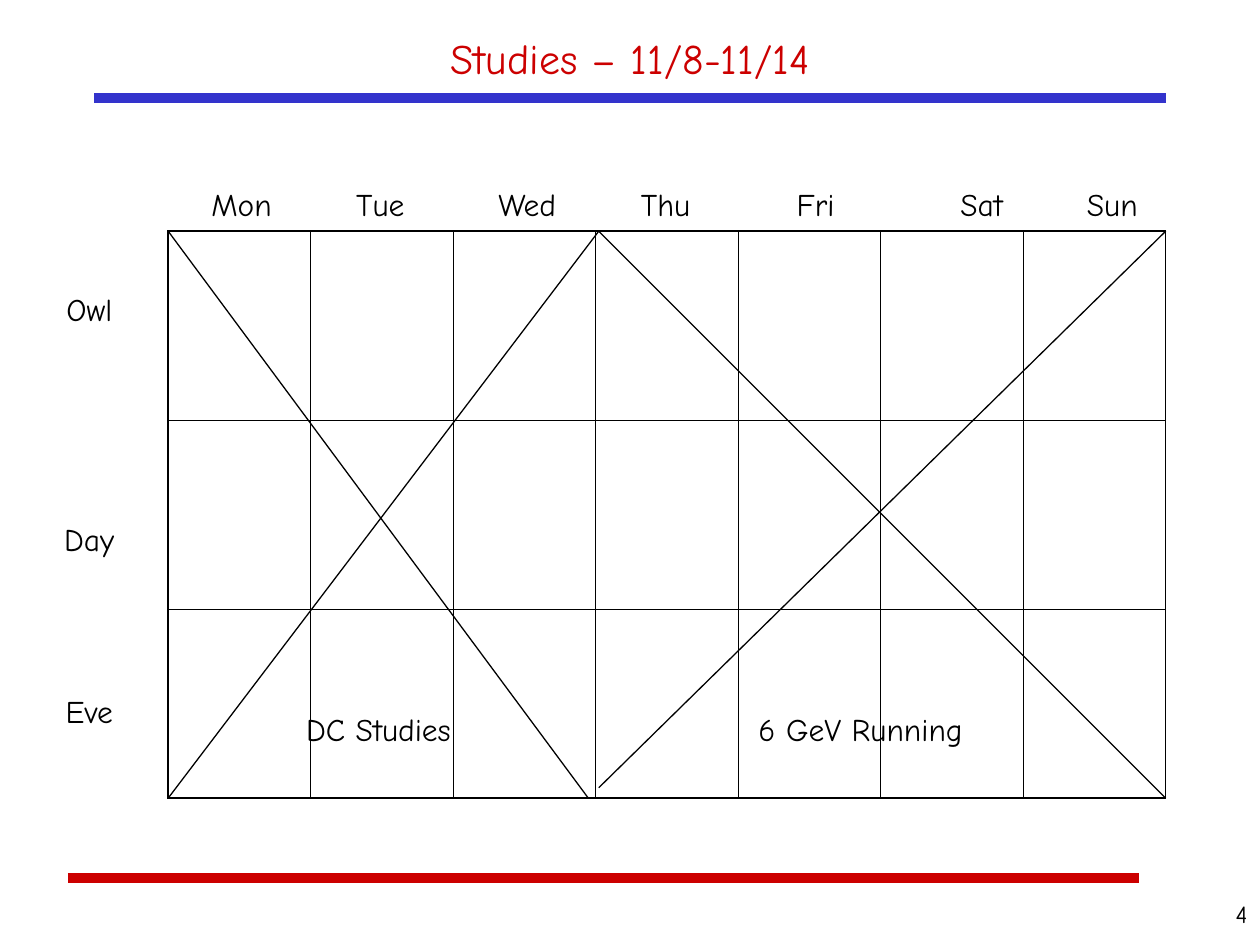
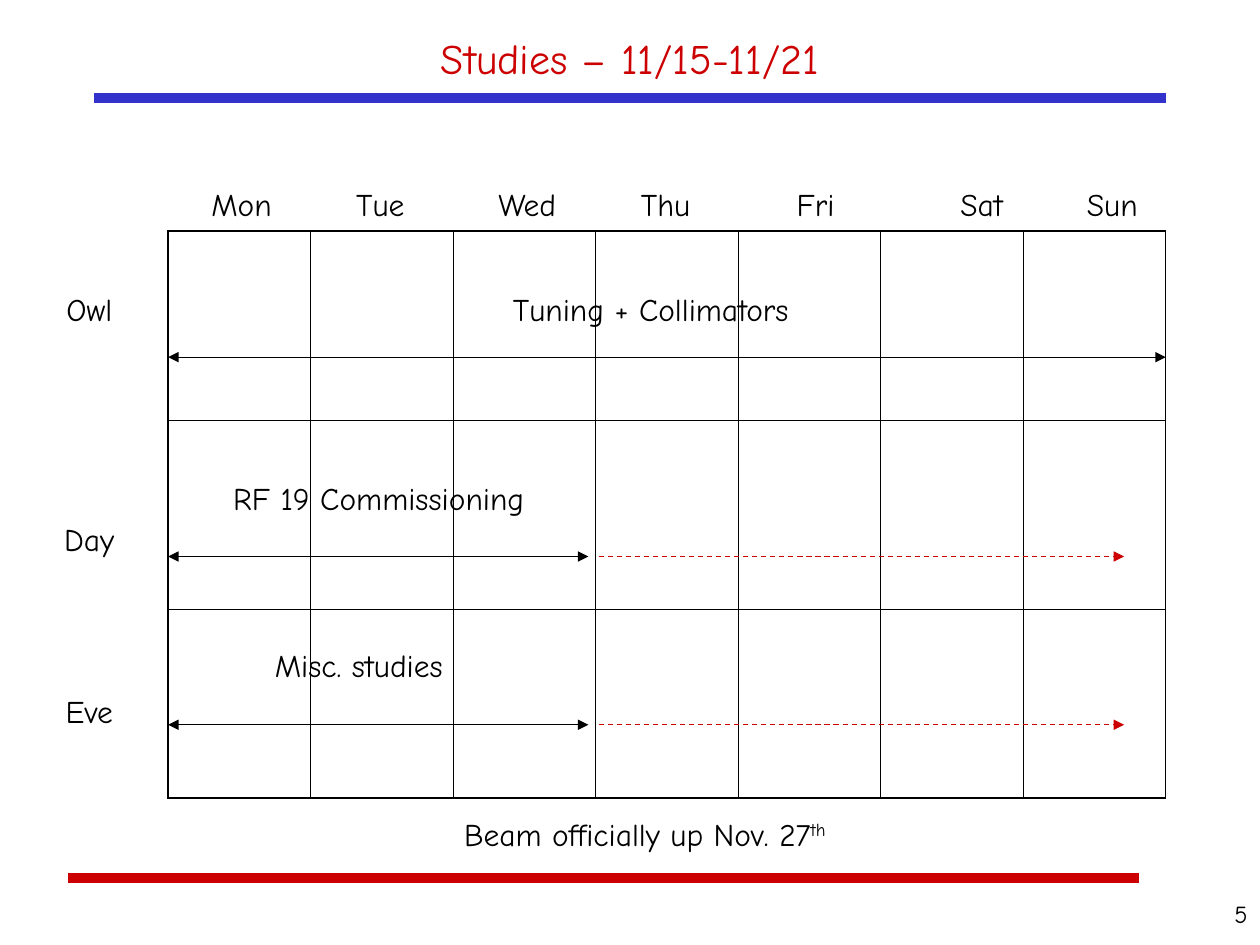
from collections import namedtuple

from lxml.etree import SubElement
from pptx import Presentation
from pptx.dml.color import RGBColor
from pptx.enum.dml import MSO_LINE_DASH_STYLE as Dash
from pptx.enum.shapes import MSO_CONNECTOR as Connector
from pptx.enum.text import MSO_ANCHOR as Anchor, PP_ALIGN as Align
from pptx.oxml.ns import qn
from pptx.util import Cm, Pt

Box = namedtuple("Box", "left top width height")

FONT = "Comic Neue"
BLACK, RED, BLUE = "000000", "CC0000", "3333CC"

TITLE = Box(1.9, 0.43, 21.6, 1.47)
GRID = Box(3.39, 4.66, 20.11, 11.43)
PAGE_NUMBER = Box(23.07, 17.99, 2.33, 1.06)
LINE_HEIGHT = 1.02

DAYS = ["Mon", "Tue", "Wed", "Thu", "Fri", "Sat", "Sun"]
DAY_TABS = [2.92, 5.79, 8.66, 11.8, 15.1, 17.65]
SHIFT_GAPS = {"Owl": 0, "Day": 109.8, "Eve": 76.7}

# Edges within the week grid
WED_END, THU_START, SUN_MIDDLE = 8.47, 8.68, 19.27


def color(hex_string):
    return RGBColor.from_string(hex_string)


def format_runs(paragraph, size=18, ink=BLACK):
    for run in paragraph.runs:
        run.font.name = FONT
        run.font.size = Pt(size)
        run.font.color.rgb = color(ink)


def add_text(slide, box, text, align=Align.LEFT, size=18):
    frame = slide.shapes.add_textbox(*map(Cm, box)).text_frame
    frame.word_wrap = True
    frame.text = text
    for paragraph in frame.paragraphs:
        paragraph.alignment = align
        format_runs(paragraph, size)
    return frame


def add_line(slide, start, end, ink=BLACK, width=0.75, dash=None, heads=()):
    """Draw a line; heads names the ends that carry arrowheads."""
    connector = slide.shapes.add_connector(
        Connector.STRAIGHT, *map(Cm, (*start, *end)))
    connector.line.color.rgb = color(ink)
    connector.line.width = Pt(width)
    if dash:
        connector.line.dash_style = dash
    properties = connector._element.spPr
    for head in heads:
        SubElement(properties.find(qn("a:ln")), qn(f"a:{head}"), type="triangle")
    SubElement(properties, qn("a:effectLst"))


def in_grid(grid, x, y):
    return grid.left + x, grid.top + y


def add_frame(slide, title, number):
    """Place the title, the two bars and the page number."""
    heading = slide.shapes.title
    heading.left, heading.top, heading.width, heading.height = map(Cm, TITLE)
    frame = heading.text_frame
    frame.text = title
    frame.vertical_anchor = Anchor.MIDDLE
    frame.paragraphs[0].alignment = Align.CENTER
    format_runs(frame.paragraphs[0], 24, RED)
    add_line(slide, (1.37, 17.7), (22.96, 17.7), RED, 6)
    add_line(slide, (1.9, 1.98), (23.5, 1.98), BLUE, 6)
    add_text(slide, PAGE_NUMBER, str(number), Align.RIGHT, 14)


def set_borders(cell, outer_sides):
    properties = cell._tc.get_or_add_tcPr()
    for side in "LRTB":
        width = Pt(1.08 if side in outer_sides else 0.45)
        border = SubElement(properties, qn(f"a:ln{side}"), w=str(int(width)))
        fill = SubElement(border, qn("a:solidFill"))
        SubElement(fill, qn("a:srgbClr"), val=BLACK)


def add_grid(slide, grid):
    rows, columns = len(SHIFT_GAPS), len(DAYS)
    table = slide.shapes.add_table(rows, columns, *map(Cm, grid)).table
    table.first_row = table.horz_banding = False
    for r in range(rows):
        for c in range(columns):
            edges = {"L": c == 0, "R": c == columns - 1,
                     "T": r == 0, "B": r == rows - 1}
            cell = table.cell(r, c)
            set_borders(cell, [side for side, outer in edges.items() if outer])
            cell.fill.background()


def add_day_names(slide, grid):
    box = Box(*in_grid(grid, 0.21, -1.05), 20.52, LINE_HEIGHT)
    frame = add_text(slide, box, "\t".join(DAYS))
    frame.margin_left = Cm(0.66)
    tabs = SubElement(frame.paragraphs[0]._p.get_or_add_pPr(), qn("a:tabLst"))
    for position in DAY_TABS:
        SubElement(tabs, qn("a:tab"), pos=str(int(Cm(position))), algn="l")


def add_shift_names(slide, grid):
    box = Box(*in_grid(grid, -2.54, 1.06), 1.9, 9.14)
    frame = add_text(slide, box, "\n".join(SHIFT_GAPS), Align.CENTER)
    for paragraph, gap in zip(frame.paragraphs, SHIFT_GAPS.values()):
        paragraph.space_before = Pt(gap)


def add_activity(slide, grid, x, y, width, text, align=Align.LEFT):
    box = Box(*in_grid(grid, x, y), width, LINE_HEIGHT)
    return add_text(slide, box, text, align)


def add_cross(slide, grid, left, right, falling_end, rising_start):
    """Cross out days; the two ends are points near the grid's bottom."""
    for start, end in [((left, 0), falling_end), (rising_start, (right, 0))]:
        add_line(slide, in_grid(grid, *start), in_grid(grid, *end))


def add_span(slide, grid, start, end, y, planned=True):
    """Arrow over a run of days, dashed where the work may go on."""
    style = (dict(heads=("headEnd", "tailEnd")) if planned else
             dict(ink=RED, dash=Dash.DASH, heads=("tailEnd",)))
    add_line(slide, in_grid(grid, start, y), in_grid(grid, end, y), **style)


def add_week(deck, title, number):
    slide = deck.slides.add_slide(deck.slide_layouts[5])
    add_frame(slide, title, number)
    add_grid(slide, GRID)
    add_day_names(slide, GRID)
    add_shift_names(slide, GRID)
    return slide


def add_running_week(deck, grid):
    slide = add_week(deck, "Studies – 11/8-11/14", 4)
    add_cross(slide, grid, 0, THU_START,
              (WED_END, grid.height), (0, grid.height))
    add_cross(slide, grid, THU_START, grid.width,
              (grid.width, grid.height), (THU_START, 11.22))
    add_activity(slide, grid, 2.53, 9.52, 4.02, "DC Studies")
    add_activity(slide, grid, 11.65, 9.52, 5.5, "6 GeV Running")


def add_tuning_week(deck, grid):
    slide = add_week(deck, "Studies – 11/15-11/21", 5)
    add_activity(slide, grid, 4.23, 1.06, 11, "Tuning + Collimators", Align.CENTER)
    add_activity(slide, grid, 1.06, 4.87, 6.78, "RF 19 Commissioning")
    add_activity(slide, grid, 1.9, 8.24, 4.65, "Misc. studies")
    add_span(slide, grid, 0, grid.width, 2.54)
    for y in (6.56, 9.95):
        add_span(slide, grid, 0, WED_END, y)
        add_span(slide, grid, THU_START, SUN_MIDDLE, y, planned=False)

    beam_date = add_activity(slide, grid, 1.99, 11.64, 15.24,
                             "Beam officially up Nov. 27", Align.CENTER).paragraphs[0]
    ordinal = beam_date.add_run()
    ordinal.text = "th"
    ordinal._r.get_or_add_rPr().set("baseline", "30000")
    format_runs(beam_date)


def main():
    deck = Presentation()
    deck.slide_width, deck.slide_height = Cm(25.4), Cm(19.05)
    add_running_week(deck, GRID)
    add_tuning_week(deck, GRID)
    deck.save("out.pptx")


if __name__ == "__main__":
    main()
